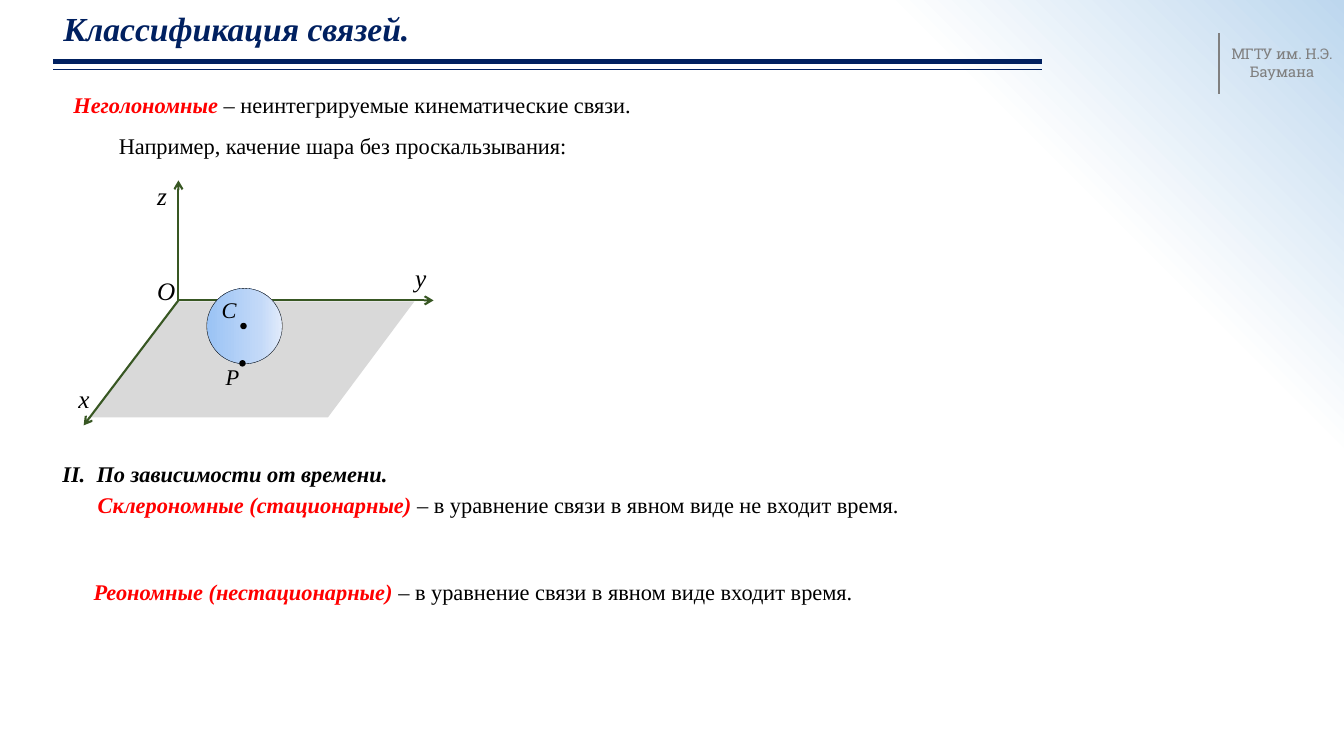
from lxml.etree import SubElement
from pptx import Presentation
from pptx.dml.color import RGBColor
from pptx.enum.shapes import MSO_CONNECTOR as Connector, MSO_SHAPE as Shape
from pptx.enum.text import MSO_AUTO_SIZE as AutoSize, PP_ALIGN as Align
from pptx.oxml.ns import qn
from pptx.util import Pt

PX = 9144
SLIDE = (1333, 750)

BLACK = RGBColor(0x00, 0x00, 0x00)
RED = RGBColor(0xFF, 0x00, 0x00)
NAVY = RGBColor(0x00, 0x20, 0x60)
GRAY = RGBColor(0x80, 0x80, 0x80)
GREEN = RGBColor(0x38, 0x57, 0x23)
PLANE = RGBColor(0xD9, 0xD9, 0xD9)
WHITE = RGBColor(0xFF, 0xFF, 0xFF)
SKY = RGBColor(0xBD, 0xD7, 0xEE)
BALL = [(0, RGBColor(0x9A, 0xC3, 0xF5)), (71, RGBColor(0xC3, 0xD9, 0xF8)),
        (100, RGBColor(0xE1, 0xEB, 0xFB))]
BACKDROP = [(78, WHITE), (100, SKY)]

UNIVERSITY = "МГТУ им. Н.Э. Баумана"
TITLE = "Классификация связей."
EXAMPLE = "Например, качение шара без проскальзывания:"
SECTION = "II.\tПо зависимости от времени."
SECTION_INDENT = 34
DEFINITIONS = [
    ("Неголономные ", "– неинтегрируемые кинематические связи.", (63, 86, 692, 37)),
    ("Склерономные (стационарные) ",
     "– в уравнение связи в явном виде не входит время.", (87, 482, 1008, 37)),
    ("Реономные (нестационарные) ",
     "– в уравнение связи в явном виде входит время.", (83, 569, 816, 37)),
]
RULES = [((1209, 33), (1209, 93), GRAY, 1.5),
         ((53, 61), (1033, 61), NAVY, 3.5),
         ((53, 69), (1033, 69), NAVY, 0.75)]
ORIGIN = (177, 298)
AXIS_ENDS = [(177, 179), (83, 422)]
Y_END = (430, 298)
AXIS_NAMES = [("x", (68, 375, 32, 40)), ("y", (402, 255, 47, 40)),
              ("O", (146, 268, 25, 32)), ("z", (146, 174, 47, 40))]
POINT_NAMES = [("P", (214, 355, 31, 37)), ("C", (210, 289, 35, 37))]
POINTS = [(239, 321, 5, 5), (238, 358, 5, 5)]

deck = Presentation()
deck.slide_width, deck.slide_height = (side * PX for side in SLIDE)
page = deck.slides.add_slide(deck.slide_layouts[6])


def scaled(*lengths):
    return [length * PX for length in lengths]


def set_stops(gradient, stops):
    stop_list = gradient.find(qn("a:gsLst"))
    for stop in list(stop_list):
        stop_list.remove(stop)
    for percent, color in stops:
        stop = SubElement(stop_list, qn("a:gs"), pos=str(percent * 1000))
        SubElement(stop, qn("a:srgbClr"), val=str(color))


def add_text(text, area, size=16, color=BLACK, bold=False, italic=False,
             font="Times New Roman", align=Align.LEFT, lead="", indent=0):
    box = page.shapes.add_textbox(*scaled(*area))
    frame = box.text_frame
    frame.word_wrap = True
    frame.auto_size = AutoSize.SHAPE_TO_FIT_TEXT
    para = frame.paragraphs[0]
    para.alignment = align
    if indent:
        properties = para._p.get_or_add_pPr()
        properties.set("marL", str(indent * PX))
        properties.set("indent", str(-indent * PX))
    spans = [(lead, RED, True, True)] if lead else []
    spans.append((text, color, bold, italic))
    for words, tint, heavy, slanted in spans:
        span = para.add_run()
        span.text = words
        span.font.name = font
        span.font.size = Pt(size)
        span.font.bold = heavy
        span.font.italic = slanted
        span.font.color.rgb = tint


def add_line(start, end, color, width, arrow=False):
    line = page.shapes.add_connector(Connector.STRAIGHT, *scaled(*start, *end))
    line.line.color.rgb = color
    line.line.width = Pt(width)
    if arrow:
        SubElement(line.line._get_or_add_ln(), qn("a:tailEnd"), type="arrow")
    SubElement(line._element.spPr, qn("a:effectLst"))


def add_figure(kind, area, fill=None, stops=None, outline=0):
    figure = page.shapes.add_shape(kind, *scaled(*area))
    figure.shadow.inherit = False
    if stops:
        figure.fill.gradient()
        figure.fill.gradient_angle = 0
        set_stops(figure._element.spPr.find(qn("a:gradFill")), stops)
    else:
        figure.fill.solid()
        figure.fill.fore_color.rgb = fill
    if outline:
        figure.line.color.rgb = BLACK
        figure.line.width = Pt(outline)
    else:
        figure.line.fill.background()
    return figure


page.background.fill.gradient()
backdrop = next(page.element.iter(qn("a:gradFill")))
set_stops(backdrop, BACKDROP)
backdrop.remove(backdrop.find(qn("a:lin")))
radial = SubElement(backdrop, qn("a:path"), path="circle")
SubElement(radial, qn("a:fillToRect"), t="100000", r="100000")

add_line(ORIGIN, Y_END, GREEN, 1.5, arrow=True)
for start, end, color, width in RULES:
    add_line(start, end, color, width)
add_text(UNIVERSITY, (1209, 40, 125, 45), size=10.5, color=GRAY,
         font="Roboto Slab", align=Align.CENTER)
add_text(TITLE, (53, 3, 803, 50), size=24, color=NAVY, bold=True, italic=True)
add_text(EXAMPLE, (108, 126, 492, 37))

plane = add_figure(Shape.PARALLELOGRAM, (90, 299, 321, 115), fill=PLANE)
plane.adjustments[0] = 0.745
for end in AXIS_ENDS:
    add_line(ORIGIN, end, GREEN, 1.5, arrow=True)
for name, area in AXIS_NAMES:
    add_text(name, area, size=18, italic=True)
add_figure(Shape.OVAL, (205, 286, 75, 75), stops=BALL, outline=0.25)
for area in POINTS:
    add_figure(Shape.OVAL, area, fill=BLACK, outline=1)
for name, area in POINT_NAMES:
    add_text(name, area, italic=True)

add_text(SECTION, (52, 452, 360, 37), bold=True, italic=True, indent=SECTION_INDENT)
for term, meaning, area in DEFINITIONS:
    add_text(meaning, area, lead=term)

deck.save("out.pptx")
